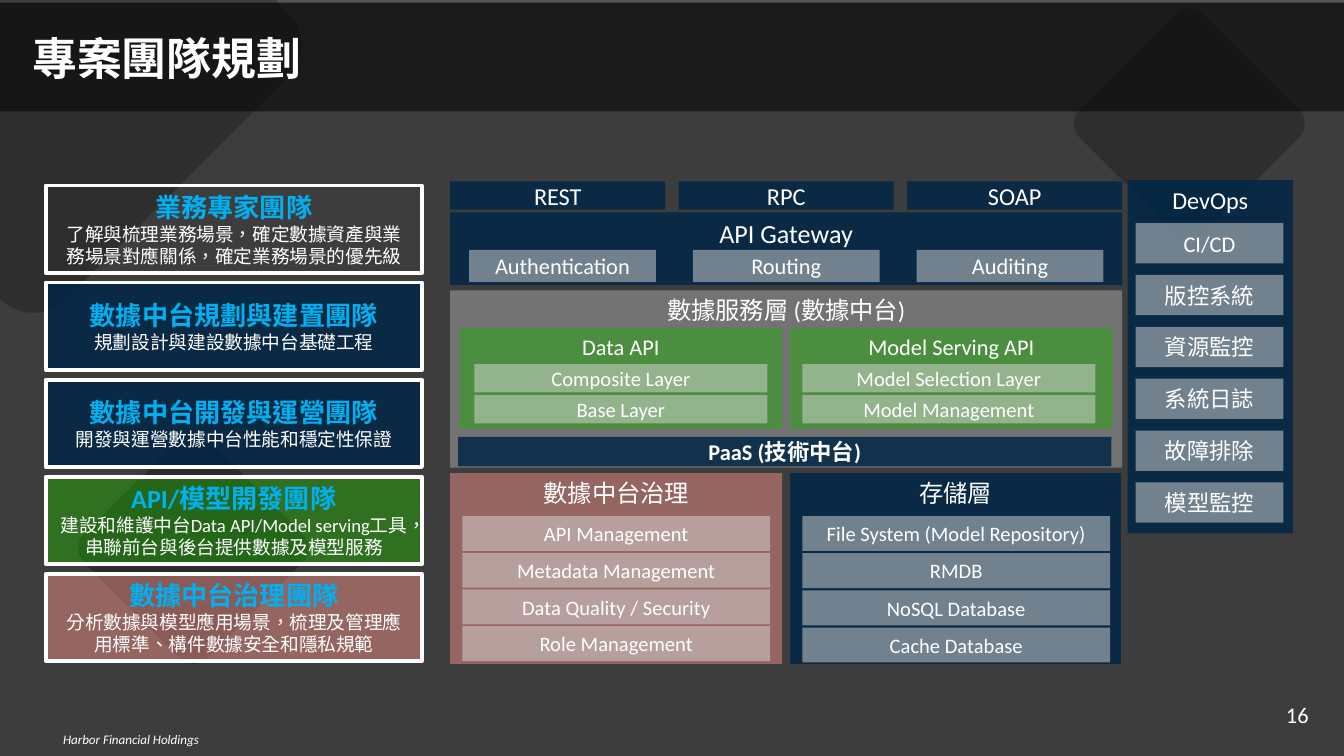
import pptx
import pptx.dml.color
import pptx.enum.lang
import pptx.enum.shapes
import pptx.enum.text
import pptx.oxml.ns
import pptx.util
import lxml.etree

WIDTH = 10
HEIGHT = WIDTH * 9 / 16
WHITE, INK = "FFFFFF", "0D0D0D"
NAVY, GREEN, ROSE = ("002646", 85), ("1EB001", 45), ("FF968D", 45)
GREY, PALE = ("D9D9D9", 35), ("D9D9D9", 50)
KINDS = pptx.enum.shapes.MSO_SHAPE
ANCHOR = pptx.enum.text.MSO_ANCHOR
ALIGN = pptx.enum.text.PP_ALIGN
LANGUAGE = pptx.enum.lang.MSO_LANGUAGE_ID.TRADITIONAL_CHINESE
CORNER = 0.11

TITLE, FOOTER, NUMBER = "專案團隊規劃", "Harbor Financial Holdings", "16"

TEAMS = [
    ("業務專家團隊", "了解與梳理業務場景，確定數據資產與業務場景對應關係，確定業務場景的優先級", None),
    ("數據中台規劃與建置團隊", "規劃設計與建設數據中台基礎工程", NAVY),
    ("數據中台開發與運營團隊", "開發與運營數據中台性能和穩定性保證", NAVY),
    ("API/模型開發團隊", "建設和維護中台Data API/Model serving工具，串聯前台與後台提供數據及模型服務", GREEN),
    ("數據中台治理團隊", "分析數據與模型應用場景，梳理及管理應用標準、構件數據安全和隱私規範", ROSE),
]
TEAM_TOP, TEAM_BOTTOM, TEAM_HEIGHT = 1.38, 4.92, 0.65

PANELS = [
    ("數據中台治理", (3.35, 3.52, 2.47, 1.42), ROSE, 13),
    ("數據服務層 (數據中台)", (3.35, 2.16, 5, 1.32), GREY, 13),
    ("API Gateway", (3.35, 1.58, 5, 0.54), NAVY, 14),
    ("Data API", (3.42, 2.44, 2.4, 0.75), GREEN, 12),
    ("Model Serving API", (5.88, 2.44, 2.4, 0.75), GREEN, 12),
    ("存儲層", (5.88, 3.52, 2.46, 1.42), NAVY, 13),
    ("DevOps", (8.39, 1.34, 1.23, 2.63), NAVY, 13),
]

SERIES = [
    (["REST", "RPC", "SOAP"], (3.35, 1.35, 1.6, 0.21), (3.4, 0), NAVY, 13, False),
    (["Authentication", "Routing", "Auditing"], (3.49, 1.86, 1.39, 0.24), (3.33, 0), PALE, 12, False),
    (["Composite Layer", "Base Layer"], (3.53, 2.71, 2.18, 0.21), (0, 0.23), PALE, 11, False),
    (["Model Selection Layer", "Model Management"], (5.97, 2.71, 2.18, 0.21), (0, 0.23), PALE, 11, False),
    (["PaaS (技術中台)"], (3.41, 3.25, 4.86, 0.22), (0, 0), NAVY, 12, True),
    (["API Management", "Metadata Management", "Data Quality / Security", "Role Management"],
     (3.44, 3.84, 2.29, 0.26), (0, 0.82), PALE, 11, False),
    (["File System (Model Repository)", "RMDB", "NoSQL Database", "Cache Database"],
     (5.97, 3.84, 2.29, 0.26), (0, 0.83), PALE, 11, False),
    (["CI/CD", "版控系統", "資源監控", "系統日誌", "故障排除", "模型監控"],
     (8.45, 1.66, 1.1, 0.3), (0, 1.93), PALE, 12, False),
]


def color(code):
    return pptx.dml.color.RGBColor.from_string(code)


def apply(target, formats):
    for name, value in formats.items():
        setattr(target, name, value)


def inches(values):
    return [pptx.util.Inches(value) for value in values]


def paint(shape, fill, outline=None):
    shape.shadow.inherit = False
    if fill:
        shape.fill.solid()
        shape.fill.fore_color.rgb = color(fill[0])
        node = shape.element.spPr.find(".//" + pptx.oxml.ns.qn("a:srgbClr"))
        alpha = lxml.etree.SubElement(node, pptx.oxml.ns.qn("a:alpha"))
        alpha.set("val", str(fill[1] * 1000))
    else:
        shape.fill.background()
    if outline:
        shape.line.color.rgb = color(outline)
        shape.line.width = pptx.util.Pt(2)
    else:
        shape.line.fill.background()


def write(shape, lines, anchor=ANCHOR.MIDDLE, align=ALIGN.CENTER, margins=(0.05, 0.05)):
    frame = shape.text_frame
    top, bottom = inches(margins)
    apply(frame, {"word_wrap": True, "auto_size": pptx.enum.text.MSO_AUTO_SIZE.NONE,
                  "vertical_anchor": anchor, "margin_top": top, "margin_bottom": bottom,
                  "margin_left": pptx.util.Inches(0.1), "margin_right": pptx.util.Inches(0.1)})
    for index, (text, size, code, style) in enumerate(lines):
        para = frame.add_paragraph() if index else frame.paragraphs[0]
        para.alignment = align
        span = para.add_run()
        span.text = text
        span.font.color.rgb = color(code)
        apply(span.font, {"name": "Calibri", "size": pptx.util.Pt(size), "language_id": LANGUAGE, **style})


def add_block(page, box, fill, kind=KINDS.RECTANGLE, outline=None):
    shape = page.shapes.add_shape(kind, *inches(box))
    paint(shape, fill, outline)
    return shape


def add_diamond(page, left, top, opacity):
    shape = add_block(page, (left, top, 1.3, 1.3), (INK, opacity), KINDS.ROUNDED_RECTANGLE)
    shape.adjustments[0] = CORNER
    shape.rotation = 315


def curve(points, steps=16):
    for step in range(steps + 1):
        t = step / steps
        weights = ((1 - t) ** 3, 3 * t * (1 - t) ** 2, 3 * t * t * (1 - t), t ** 3)
        yield tuple(sum(w * point[axis] for w, point in zip(weights, points)) for axis in (0, 1))


def add_corner(page):
    right = curve([(2.15, 0.1), (2.28, 0.23), (2.28, 0.44), (2.15, 0.57)])
    bottom = curve([(0.49, 2.23), (0.36, 2.36), (0.14, 2.36), (0.01, 2.23)])
    points = [(2.05, 0), *right, *bottom, (0, 2.22)]
    builder = page.shapes.build_freeform(0, 0)
    builder.add_line_segments([inches(point) for point in points], close=True)
    paint(builder.convert_to_shape(), (INK, 30))


def add_backdrop(page):
    add_block(page, (-0.02, 0.02, WIDTH + 0.02, HEIGHT), (INK, 80))
    add_corner(page)
    add_block(page, (0, 0, WIDTH, 0.83), (INK, 70))
    add_diamond(page, 0.79, 3.43, 34)
    add_diamond(page, 8.2, 0.27, 30)


def add_labels(page):
    title = page.shapes.title
    apply(title, dict(zip(("left", "top", "width", "height"), inches((0.14, 0.21, 9.72, 0.43)))))
    write(title, [(TITLE, 24, WHITE, {"bold": True})], align=ALIGN.LEFT)
    page.shapes._spTree.append(title.element)
    footer = page.shapes.add_textbox(*inches((0.06, 5.39, 1.83, 0.22)))
    write(footer, [(FOOTER, 7, WHITE, {"italic": True})], ANCHOR.TOP)
    number = page.shapes.add_textbox(*inches((9.47, 5.16, 0.53, 0.31)))
    write(number, [(NUMBER, 12, WHITE, {})], align=ALIGN.LEFT)


def add_teams(page):
    pitch = (TEAM_BOTTOM - TEAM_HEIGHT - TEAM_TOP) / (len(TEAMS) - 1)
    for row, (name, duty, fill) in enumerate(TEAMS):
        shape = add_block(page, (0.34, TEAM_TOP + row * pitch, 2.8, TEAM_HEIGHT), fill, outline=WHITE)
        write(shape, [(name, 14, "00B0F0", {"bold": True}), (duty, 10, WHITE, {"bold": False})])


def add_architecture(page):
    for name, box, fill, size in PANELS:
        write(add_block(page, box, fill), [(name, size, WHITE, {})], ANCHOR.TOP, margins=(0.04, 0.1))
    for names, (left, top, width, height), (across, down), fill, size, bold in SERIES:
        for index, name in enumerate(names):
            share = index / max(len(names) - 1, 1)
            box = (left + share * across, top + share * down, width, height)
            write(add_block(page, box, fill), [(name, size, WHITE, {"bold": bold})], margins=(0.1, 0.1))


def main():
    deck = pptx.Presentation()
    apply(deck, {"slide_width": pptx.util.Inches(WIDTH), "slide_height": pptx.util.Inches(HEIGHT)})
    page = deck.slides.add_slide(deck.slide_layouts[5])
    add_backdrop(page)
    add_labels(page)
    add_architecture(page)
    add_teams(page)
    deck.save("out.pptx")


if __name__ == "__main__":
    main()
